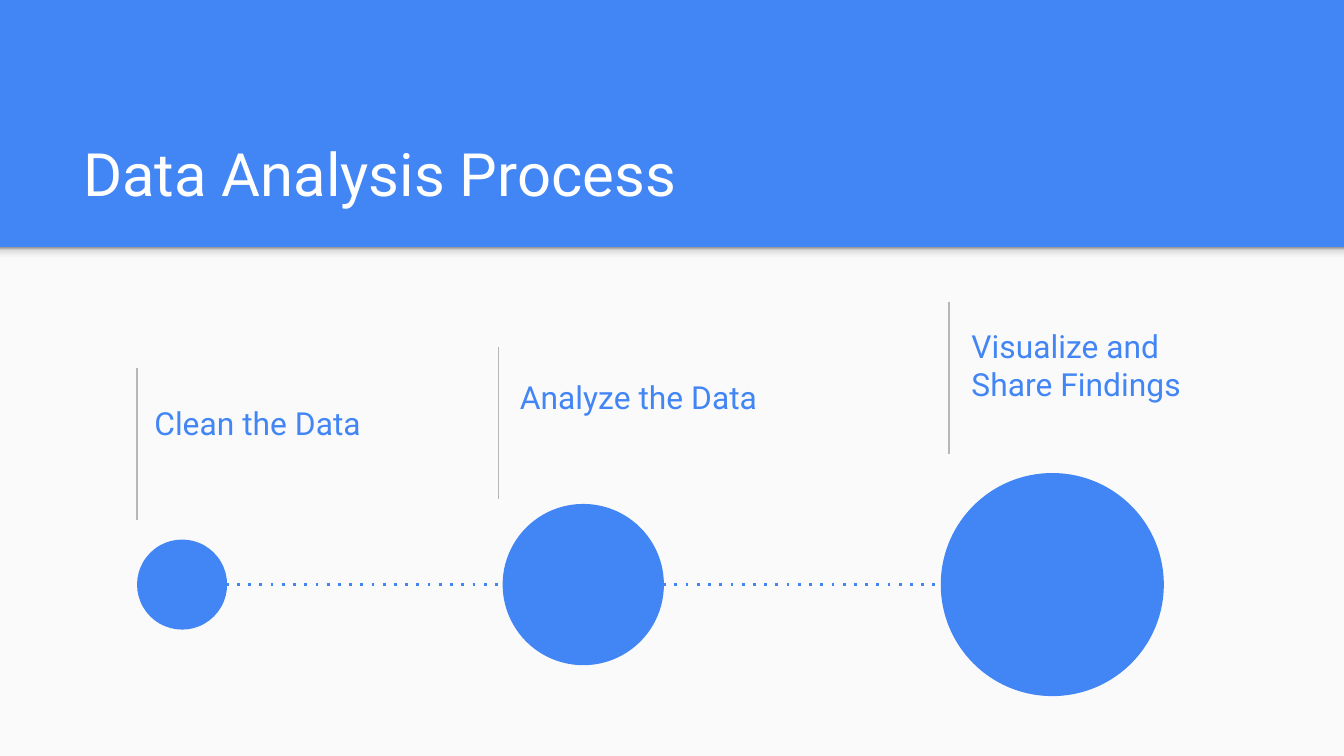
from dataclasses import dataclass

from lxml import etree
from pptx import Presentation
from pptx import util as u
from pptx.dml.color import RGBColor
from pptx.enum import dml, shapes, text
from pptx.oxml import ns


@dataclass(frozen=True)
class Theme:
    """Colours, font and type sizes of the slide."""
    blue: str = "4285F4"
    paper: str = "FAFAFA"
    white: str = "FFFFFF"
    rule: str = "B7B7B7"
    shade: tuple = ((0, "F9F9F9"), (36, "F9F9F9"), (80, "DEDEDE"), (100, "999999"))
    font: str = "Roboto"
    title: int = 32
    label: int = 17


THEME = Theme()
WIDTH, HEIGHT = 10, 10 * 9 / 16
STEPS = (
    ("Clean the Data", 1.02, 2.74, 1.05, 2.93, 1.02, 0.67),
    ("Analyze the Data", 3.71, 2.58, 3.77, 2.74, 3.74, 1.2),
    ("Visualize and Share Findings", 7.06, 2.25, 7.13, 2.5, 7, 1.66),
)


def add_shape(s, kind, box, color):
    """Add a borderless filled shape."""
    sp = s.shapes.add_shape(kind, *map(u.Inches, box))
    sp.shadow.inherit = False
    sp.fill.solid()
    sp.fill.fore_color.rgb = RGBColor.from_string(color)
    sp.line.fill.background()
    return sp


def add_line(s, start, end, color, width):
    """Add a straight line without a shadow."""
    line = s.shapes.add_connector(
        shapes.MSO_CONNECTOR.STRAIGHT, *map(u.Inches, (*start, *end)))
    line.line.color.rgb = RGBColor.from_string(color)
    line.line.width = u.Pt(width)
    etree.SubElement(line._element.spPr, ns.qn("a:effectLst"))
    return line


def add_text(s, box, words, size, color, anchor):
    """Add a wrapped text box with even insets."""
    tf = s.shapes.add_textbox(*map(u.Inches, box)).text_frame
    tf.word_wrap = True
    tf.vertical_anchor = anchor
    tf.margin_left = tf.margin_right = tf.margin_top = tf.margin_bottom = u.Inches(0.1)
    tf.text = words
    font = tf.paragraphs[0].runs[0].font
    font.name, font.size = THEME.font, u.Pt(size)
    font.color.rgb = RGBColor.from_string(color)


def add_header(s, left, top, width, height):
    """Place the title in the blue band above the pale body and its shaded edge."""
    rect = shapes.MSO_SHAPE.RECTANGLE
    edge = top + 1.84
    add_shape(s, rect, (left, edge, width, height - 1.84), THEME.paper)
    shadow = add_shape(s, rect, (left, edge, width, 0.12), THEME.paper)
    shadow.fill.gradient()
    shadow.fill.gradient_angle = 90
    stops = next(shadow._element.iter(ns.qn("a:gsLst")))
    for stop in list(stops):
        stops.remove(stop)
    for position, color in THEME.shade:
        stop = etree.SubElement(stops, ns.qn("a:gs"), pos=str(position * 1000))
        etree.SubElement(stop, ns.qn("a:srgbClr"), val=color)
    add_text(s, (left + 0.52, top + 0.81, 8.99, 0.84), "Data Analysis Process",
             THEME.title, THEME.white, text.MSO_ANCHOR.BOTTOM)


def add_process(s, left, top):
    """Place the labelled steps and their growing circles on a dotted axis."""
    axis = top + 4.35
    for words, rule_x, rule_y, label_x, label_y, *_ in STEPS:
        x, y = left + rule_x, top + rule_y
        add_line(s, (x, y), (x, y + 1.13), THEME.rule, 0.75)
        add_text(s, (left + label_x, top + label_y, 1.98, 0.43), words,
                 THEME.label, THEME.blue, text.MSO_ANCHOR.MIDDLE)
    track = add_line(s, (left + 1.68, axis), (left + 7, axis), THEME.blue, 1.5)
    track.line.dash_style = dml.MSO_LINE.ROUND_DOT
    next(track._element.iter(ns.qn("a:prstDash"))).set("val", "dot")
    for *_, x, size in STEPS:
        add_shape(s, shapes.MSO_SHAPE.OVAL,
                  (left + x, axis - size / 2, size, size), THEME.blue)


def main():
    """Build and save the slide."""
    prs = Presentation()
    prs.slide_width, prs.slide_height = u.Inches(WIDTH), u.Inches(HEIGHT)
    s = prs.slides.add_slide(prs.slide_layouts[6])
    s.background.fill.solid()
    s.background.fill.fore_color.rgb = RGBColor.from_string(THEME.blue)
    add_header(s, 0, 0, WIDTH, HEIGHT)
    add_process(s, 0, 0)
    prs.save("out.pptx")


if __name__ == "__main__":
    main()
